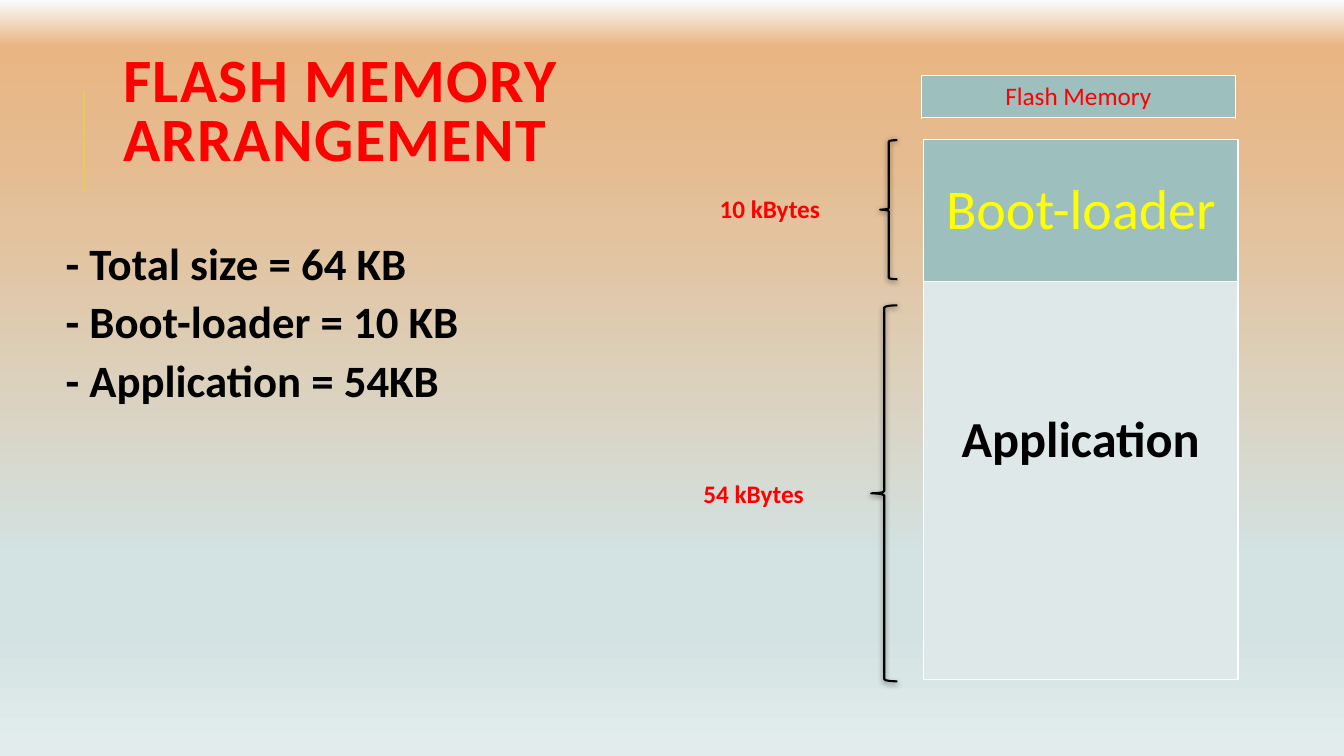
from lxml import etree
from pptx import Presentation
from pptx.dml.color import RGBColor
from pptx.enum import shapes, text
from pptx.oxml.ns import qn
from pptx.util import Inches, Pt

COLORS = {
    "red": "FF0000", "yellow": "FFFF00", "black": "000000", "white": "FFFFFF",
    "teal": "9DBFBE", "pale": "DFE8E8", "gold": "E3CC5A",
}
SKY = [(0, "FAFCFC"), (6, "E9B683"), (21, "E6BB8F"), (30, "E3C29D"),
       (74, "D3E2E2"), (83, "D3E2E2"), (99, "E2ECEC")]
FONT = "Calibri"


def rgb(name):
    return RGBColor.from_string(COLORS[name])


def child(parent, tag, **attrs):
    return etree.SubElement(parent, qn(tag), attrs)


def add_run(p, words, size, color, bold=False):
    r = p.add_run()
    r.text = words
    r.font.name = FONT
    r.font.size = Pt(size)
    r.font.bold = bold
    r.font.color.rgb = rgb(color)
    return r


def place(sp, left, top, width, height):
    sp.left, sp.top = Inches(left), Inches(top)
    sp.width, sp.height = Inches(width), Inches(height)


def paint_background(s):
    fill = s.background.fill
    fill.gradient()
    fill.gradient_angle = 270
    stops = s.element.find(".//" + qn("a:gsLst"))
    for stop in list(stops):
        stops.remove(stop)
    for percent, color in SKY:
        stop = child(stops, "a:gs", pos=str(percent * 1000))
        child(stop, "a:srgbClr", val=color)


def add_accent_line(s):
    line = s.shapes.add_connector(shapes.MSO_CONNECTOR.STRAIGHT, Inches(0.83),
                                  Inches(1.9), Inches(0.83), Inches(0.9))
    line.line.color.rgb = rgb("gold")
    line.line.width = Pt(1.5)
    child(line.element.spPr, "a:effectLst")


def fill_title(s, words):
    sp = s.shapes.title
    place(sp, 1.12, 0.52, 7.52, 1.22)
    tf = sp.text_frame
    tf.auto_size = text.MSO_AUTO_SIZE.NONE
    tf.vertical_anchor = text.MSO_ANCHOR.MIDDLE
    p = tf.paragraphs[0]
    p.alignment = text.PP_ALIGN.LEFT
    p.line_spacing = 0.8
    r = add_run(p, words, 44, "red", True)
    r.font._element.set("spc", "100")


def fill_body(s, lines):
    sp = s.placeholders[1]
    place(sp, 0.55, 2.25, 6, 4.61)
    tf = sp.text_frame
    tf.auto_size = text.MSO_AUTO_SIZE.NONE
    p = tf.paragraphs[0]
    pPr = p._p.get_or_add_pPr()
    pPr.set("marL", "0")
    pPr.set("indent", "0")
    child(pPr, "a:buNone")
    p.line_spacing = 1.08
    p.space_before = Pt(0)
    for i, words in enumerate(lines):
        if i:
            p.add_line_break()
        add_run(p, words, 32, "black", True)


def add_borders(cell):
    tcPr = cell._tc.get_or_add_tcPr()
    for i, side in enumerate("LRTB"):
        ln = etree.Element(qn("a:ln" + side), w=str(Pt(1)))
        child(child(ln, "a:solidFill"), "a:srgbClr", val=COLORS["white"])
        tcPr.insert(i, ln)


def add_memory_table(s, left, top, width, rows):
    height = sum(row[0] for row in rows)
    table = s.shapes.add_table(len(rows), 1, Inches(left), Inches(top),
                               Inches(width), Inches(height)).table
    table.first_row = table.horz_banding = False
    for i, (row_height, words, size, color, bold, fill, lift) in enumerate(rows):
        table.rows[i].height = Inches(row_height)
        cell = table.cell(i, 0)
        cell.fill.solid()
        cell.fill.fore_color.rgb = rgb(fill)
        cell.vertical_anchor = text.MSO_ANCHOR.MIDDLE
        cell.margin_bottom = Inches(0.05 + lift)
        p = cell.text_frame.paragraphs[0]
        p.alignment = text.PP_ALIGN.CENTER
        add_run(p, words, size, color, bold)
        add_borders(cell)


def add_brace(s, left, top, width, height):
    sp = s.shapes.add_shape(shapes.MSO_SHAPE.LEFT_BRACE, Inches(left),
                            Inches(top), Inches(width), Inches(height))
    sp.fill.background()
    sp.line.color.rgb = rgb("black")
    sp.line.width = Pt(1.5)
    sp.shadow.inherit = False
    effects = sp.element.spPr.find(qn("a:effectLst"))
    shadow = child(effects, "a:outerShdw", blurRad=str(Pt(4)), dist=str(Pt(1)),
                   dir="5400000", rotWithShape="0")
    color = child(shadow, "a:srgbClr", val=COLORS["black"])
    child(color, "a:alpha", val="50000")


def add_size_label(s, words, left, top, width, height):
    sp = s.shapes.add_textbox(Inches(left), Inches(top), Inches(width), Inches(height))
    tf = sp.text_frame
    tf.word_wrap = True
    tf.vertical_anchor = text.MSO_ANCHOR.MIDDLE
    p = tf.paragraphs[0]
    p.alignment = text.PP_ALIGN.CENTER
    add_run(p, words, 18, "red", True)


def main():
    prs = Presentation()
    prs.slide_width, prs.slide_height = Inches(13.33), Inches(7.5)
    s = prs.slides.add_slide(prs.slide_layouts[1])
    paint_background(s)
    add_accent_line(s)
    fill_title(s, "FLASH MEMORY ARRANGEMENT")
    add_memory_table(s, 9.16, 1.38, 3.12, [
        (1.41, "Boot-loader", 40, "yellow", False, "teal", 0),
        (3.95, "Application", 36, "black", True, "pale", 0.8),
    ])
    fill_body(s, ["- Total size = 64 KB", "- Boot-loader = 10 KB", "- Application = 54KB"])
    add_memory_table(s, 9.14, 0.75, 3.11, [
        (0.42, "Flash Memory", 18, "red", False, "teal", 0),
    ])
    add_brace(s, 8.73, 1.39, 0.17, 1.38)
    add_brace(s, 8.64, 3.03, 0.26, 3.73)
    add_size_label(s, "10 kBytes", 6.69, 1.74, 1.89, 0.65)
    add_size_label(s, "54 kBytes", 6.55, 4.52, 1.85, 0.75)
    prs.save("out.pptx")


if __name__ == "__main__":
    main()
